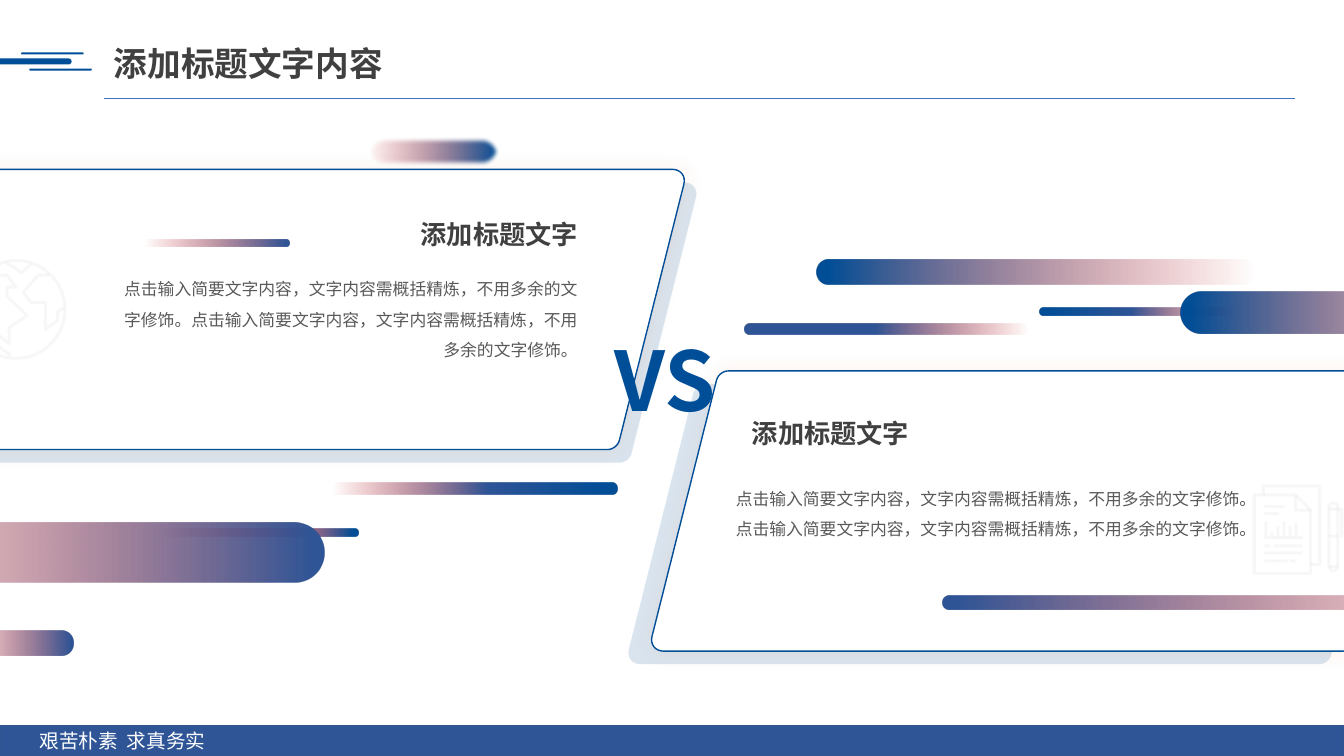
from math import acos, dist, tan
from lxml.etree import SubElement
from pptx import Presentation
from pptx.dml.color import RGBColor
from pptx.enum.shapes import MSO_CONNECTOR as Link, MSO_SHAPE as Kind
from pptx.enum.text import MSO_ANCHOR as Anchor, MSO_AUTO_SIZE as Fit, PP_ALIGN as Align
from pptx.oxml import parse_xml
from pptx.oxml.ns import nsdecls, qn
from pptx.util import Inches, Pt

BLUE = RGBColor(0x00, 0x4E, 0x97)
NAVY = RGBColor(0x2F, 0x55, 0x97)
EDGE = RGBColor(0x32, 0x54, 0x91)
RULE = RGBColor(0x44, 0x72, 0xC4)
RED = RGBColor(0xCB, 0x0B, 0x0A)
ROSE = RGBColor(0xE2, 0x00, 0x10)
GLOW = RGBColor(0xED, 0x7D, 0x31)
PALE = RGBColor(0xD9, 0xD9, 0xD9)
DARK = RGBColor(0x40, 0x40, 0x40)
GRAY = RGBColor(0x59, 0x59, 0x59)
WHITE = RGBColor(0xFF, 0xFF, 0xFF)
SANS = "Noto Sans CJK SC"
HEAD = "Roboto"
WIDE, TALL, SLANT, ROUND = 6.98, 2.78, .7, .12
FAINT, THIN = 20, .03


def blend(a, b, t):
    return tuple(p + (q - p) * t for p, q in zip(a, b))


def soften(corners, radius, steps=8):
    spots = []
    for i, tip in enumerate(corners):
        prev, after = corners[i - 1], corners[(i + 1) % len(corners)]
        near, far = dist(tip, prev), dist(tip, after)
        dot = sum((p - t) * (q - t) for p, q, t in zip(prev, after, tip))
        cut = radius / tan(acos(dot / near / far) / 2)
        start, end = blend(tip, prev, cut / near), blend(tip, after, cut / far)
        pull, push = blend(start, tip, .55), blend(end, tip, .55)
        for step in range(steps + 1):
            t = step / steps
            mid = blend(pull, push, t)
            left = blend(blend(start, pull, t), mid, t)
            right = blend(mid, blend(push, end, t), t)
            spots.append(blend(left, right, t))
    return spots


class Deck:
    def __init__(self):
        self.show = Presentation()
        self.show.slide_width = Inches(13.33)
        self.show.slide_height = Inches(7.5)
        self.slide = self.show.slides.add_slide(self.show.slide_layouts[5])
        self.shapes = self.slide.shapes

    def paint(self, shape, fill=None, alpha=100, line=None, width=1):
        shape.shadow.inherit = False
        if fill is None:
            shape.fill.background()
        else:
            shape.fill.solid()
            shape.fill.fore_color.rgb = fill
        if line is None:
            shape.line.fill.background()
        else:
            shape.line.color.rgb = line
            shape.line.width = Pt(width)
        if alpha < 100:
            for tone in shape.element.spPr.iter(qn("a:srgbClr")):
                SubElement(tone, qn("a:alpha"), val=str(alpha * 1000))

    def effect(self, shape, xml):
        shape.element.spPr.find(qn("a:effectLst")).append(parse_xml(xml))

    def form(self, spots, close=True, **style):
        first, *rest = [(Inches(x), Inches(y)) for x, y in spots]
        pen = self.shapes.build_freeform(*first, scale=1.0)
        pen.add_line_segments(rest, close=close)
        shape = pen.convert_to_shape()
        self.paint(shape, **style)
        return shape

    def stroke(self, spots, close=False):
        self.form(spots, close, alpha=FAINT, line=PALE, width=THIN * 72)

    def bar(self, x, y, w, h=THIN):
        self.block(Kind.RECTANGLE, x, y, w, h, PALE, FAINT)

    def slab(self, x, y, **style):
        corners = [(x + SLANT, y), (x + SLANT + WIDE, y), (x + WIDE, y + TALL), (x, y + TALL)]
        return self.form(soften(corners, ROUND), **style)

    def card(self, x, y, shift):
        self.slab(x + shift, y + .13, fill=BLUE, alpha=15)
        face = self.slab(x, y, fill=WHITE, line=BLUE)
        self.effect(face, f'<a:outerShdw {nsdecls("a")} blurRad="{Pt(14)}" dist="0" dir="0">'
                          f'<a:srgbClr val="{GLOW}"><a:alpha val="11000"/></a:srgbClr></a:outerShdw>')

    def globe(self, x, y, size):
        ring = self.block(Kind.DONUT, x, y, size, size, PALE, FAINT)
        ring.adjustments[0] = THIN
        west = [(4, 34), (16, 50), (32, 50), (32, 75), (43, 84), (43, 68), (61, 56),
                (41, 37), (41, 28), (50, 28), (41, 16), (17, 16)]
        east = [(97, 48), (91, 53), (91, 61), (79, 70), (79, 43), (65, 43), (57, 33), (72, 16), (83, 16)]
        north = [(40, 4), (48, 8), (55, 14), (65, 5)]
        south = [(17, 83), (28, 83), (45, 96)]
        for coast in (west, east, north, south):
            self.stroke([(x + size * a / 100, y + size * b / 100) for a, b in coast])

    def report(self, left, top):
        right, base, fold, gap = left + .56, top + .78, .15, .09
        crease = right - fold
        self.stroke([(left, top), (crease, top), (right, top + fold), (right, base), (left, base)], True)
        self.stroke([(crease, top), (crease, top + fold), (right, top + fold)])
        self.stroke([(left + gap, top), (left + gap, top - gap), (right + gap, top - gap),
                     (right + gap, base - gap), (right, base - gap)])
        inner = left + .1
        for dx, dy, w in [(0, .1, .2), (0, .17, .14), (0, .49, .06), (.09, .49, .29),
                          (0, .56, .38), (0, .64, .23), (.25, .64, .06)]:
            self.bar(inner + dx, top + dy, w)
        floor = top + .41
        self.bar(inner, floor, .38)
        for i, high in enumerate([.15, .04, .1, .15, .1, .13]):
            self.bar(inner + i * .06, floor - high, THIN, high)

    def pencil(self, x, y, w, h):
        neck, mid, end = y + h - .08, x + w / 2, x + w
        self.stroke(soften([(x, y), (end, y), (end, neck), (mid, y + h), (x, neck)], .04), True)
        for cross in (y + .06, y + .33, neck):
            self.stroke([(x, cross), (end, cross)])
        self.stroke([(end, y + .06), (end + .04, y + .06), (end + .04, y + .34)])

    def block(self, kind, x, y, w, h, fill, alpha=100, line=None):
        shape = self.shapes.add_shape(kind, Inches(x), Inches(y), Inches(w), Inches(h))
        if kind == Kind.ROUNDED_RECTANGLE:
            shape.adjustments[0] = .5
        self.paint(shape, fill, alpha, line)
        return shape

    def streak(self, x, y, w, h, stops, left=False, soft=0):
        shape = self.block(Kind.ROUNDED_RECTANGLE, x, y, w, h, NAVY)
        if left:
            stops = [(100 - at, tone, alpha) for at, tone, alpha in reversed(stops)]
        marks = "".join(f'<a:gs pos="{at * 1000}"><a:srgbClr val="{tone}">'
                        f'<a:alpha val="{alpha * 1000}"/></a:srgbClr></a:gs>'
                        for at, tone, alpha in stops)
        grad = parse_xml(f'<a:gradFill {nsdecls("a")} rotWithShape="1"><a:gsLst>{marks}</a:gsLst>'
                         '<a:lin ang="0" scaled="0"/></a:gradFill>')
        props = shape.element.spPr
        props.replace(props.find(qn("a:solidFill")), grad)
        if soft:
            self.effect(shape, f'<a:softEdge {nsdecls("a")} rad="{Pt(soft)}"/>')

    def text(self, x, y, w, h, words, size, tone, face=SANS, bold=False,
             align=Align.LEFT, space=None, box=None):
        box = box or self.shapes.add_textbox(0, 0, 0, 0)
        box.left, box.top, box.width, box.height = map(Inches, (x, y, w, h))
        frame = box.text_frame
        frame.word_wrap = True
        frame.auto_size = Fit.SHAPE_TO_FIT_TEXT
        frame.vertical_anchor = Anchor.TOP
        frame.text = words
        para = frame.paragraphs[0]
        para.alignment = align
        if space:
            para.line_spacing = space
        font = para.font
        font.name, font.size, font.bold = face, Pt(size), bold
        font.color.rgb = tone
        SubElement(next(para._p.iter(qn("a:defRPr"))), qn("a:ea"), typeface=SANS)

    def title(self, x, y, w, h, words):
        self.text(x, y, w, h, words, 24, DARK, HEAD, True, box=self.shapes.title)

    def rule(self, x, y, end):
        line = self.shapes.add_connector(Link.STRAIGHT, Inches(x), Inches(y), Inches(end), Inches(y))
        line.line.color.rgb = RULE
        line.line.width = Pt(.5)
        SubElement(line.element.spPr, qn("a:effectLst"))


def main():
    deck = Deck()
    deck.title(1.03, .38, 3.72, .5, "添加标题文字内容")
    deck.card(-.86, 1.68, .12)
    deck.card(6.43, 3.68, -.23)

    deep = [(24, RED, 0), (65, NAVY, 100), (98, BLUE, 100)]
    deck.streak(2.42, 4.79, 3.7, .11, deep)
    deck.streak(.96, 5.24, 2.6, .08, [(24, RED, 0), (65, ROSE, 35), (98, BLUE, 100)])
    deck.streak(7.38, 3.21, 3.7, .11, [*deep[:2], (98, NAVY, 100)], True)
    deck.streak(10.31, 3.05, 2.6, .08, deep, True)

    deck.globe(-.34, 2.57, 1)
    deck.report(12.44, 4.91)
    deck.pencil(13.18, 4.99, .09, .71)

    head = "添加标题文字"
    body = "点击输入简要文字内容，文字内容需概括精炼，不用多余的文字修饰。" * 2
    deck.text(3.1, 2.12, 2.73, .42, head, 18.7, DARK, HEAD, True, Align.RIGHT)
    deck.text(1.06, 2.62, 4.77, .98, body, 12, GRAY, align=Align.RIGHT, space=1.5)
    deck.text(7.36, 4.09, 2.73, .42, head, 18.7, DARK, HEAD, True)
    deck.text(7.2, 4.7, 5.36, .67, body, 12, GRAY, space=1.5)
    deck.text(6, 3.22, 1.54, 1.09, "VS", 58.7, BLUE, bold=True)

    for x, y, w, h, start, tone, left, soft in [
        (-.42, 6.26, 1.15, .24, 0, NAVY, False, 0),
        (11.71, 2.89, 3.78, .42, 0, BLUE, True, 0),
        (9.35, 5.91, 6.16, .14, 0, NAVY, True, 0),
        (1.19, 2.38, 1.68, .07, 15, NAVY, False, 0),
        (8.1, 2.58, 4.34, .24, 0, BLUE, True, 0),
        (-2.02, 5.18, 5.24, .6, 0, NAVY, False, 0),
        (3.63, 1.36, 1.33, .29, 0, BLUE, False, 3),
    ]:
        deck.streak(x, y, w, h, [(start, RED, 0), (98, tone, 100)], left, soft)

    for x, y, w, h in [(-.91, .58, 1.62, .06), (.29, .68, .62, .02), (.21, .52, .62, .02)]:
        deck.block(Kind.ROUNDED_RECTANGLE, x, y, w, h, BLUE)
    deck.rule(1.03, .98, 12.84)
    deck.block(Kind.RECTANGLE, 0, 7.2, 13.33, .3, NAVY, line=EDGE)
    deck.text(0, 7.18, 2.43, .34, "艰苦朴素  求真务实", 14, WHITE, HEAD, align=Align.CENTER)
    deck.show.save("out.pptx")


if __name__ == "__main__":
    main()
